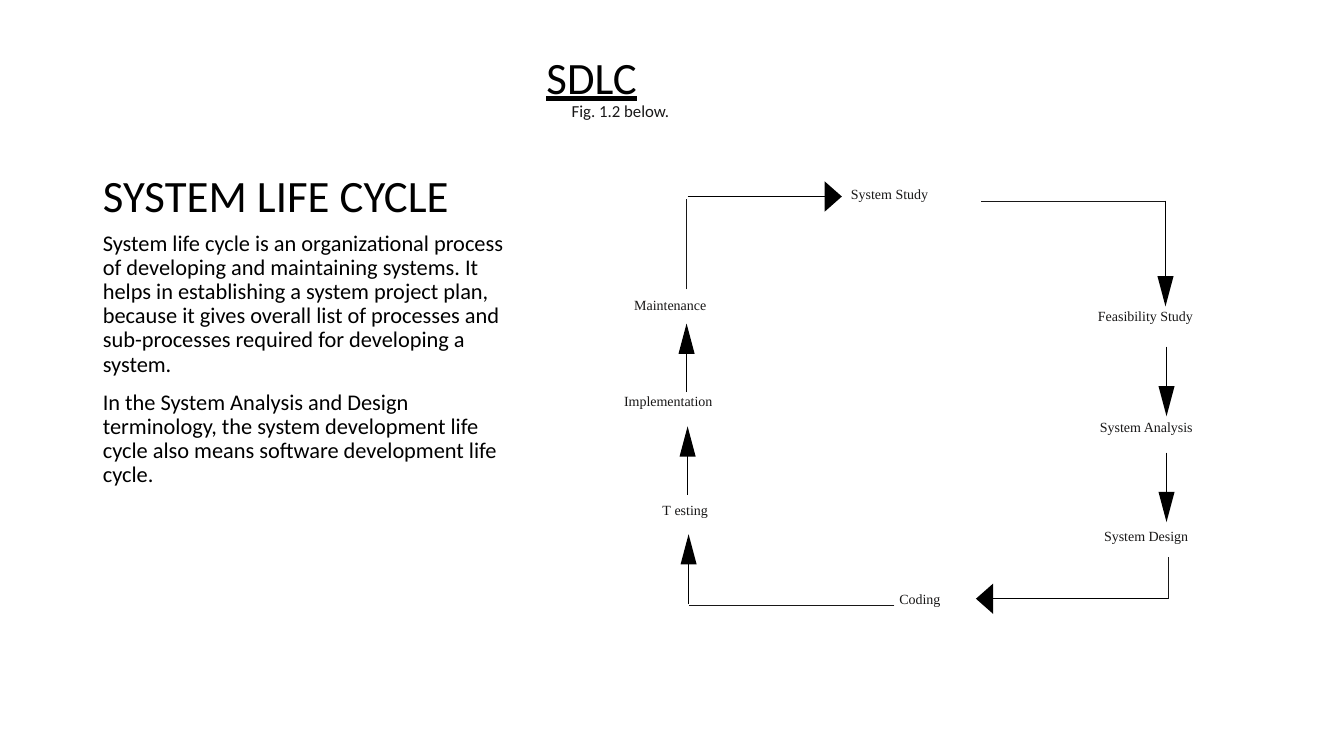
import dataclasses
import typing

import lxml.etree
import pptx
import pptx.dml.color
import pptx.enum.shapes
import pptx.enum.text
import pptx.oxml.ns
import pptx.util

Inches = pptx.util.Inches
Pt = pptx.util.Pt
qn = pptx.oxml.ns.qn


# Theme
@dataclasses.dataclass(frozen=True)
class Theme:
    black: str = "000000"
    ink: str = "181717"
    paper: str = "FFFFFF"
    sans: str = "Calibri"
    serif: str = "Times New Roman"
    head: int = 32
    body: int = 16
    note: int = 12
    small: int = 10
    thin: float = 0.71
    thick: float = 0.96


THEME = Theme()


# Parts of the cycle, in inches
class Label(typing.NamedTuple):
    text: str
    left: float
    top: float
    width: float


class Line(typing.NamedTuple):
    x1: float
    y1: float
    x2: float
    y2: float
    bold: bool = False


class Tip(typing.NamedTuple):
    x: float
    y: float
    dx: int
    dy: int


LABELS = [
    Label("System Study", 8.44, 1.82, 1.56),
    Label("Feasibility Study", 10.89, 3.03, 1.9),
    Label("System Analysis", 10.91, 4.13, 1.9),
    Label("System Design", 10.95, 5.21, 1.69),
    Label("Coding", 8.92, 5.83, 0.83),
    Label("T", 6.57, 4.95, 0.17),
    Label("esting", 6.69, 4.95, 0.69),
    Label("Implementation", 6.19, 3.87, 1.73),
    Label("Maintenance", 6.29, 2.92, 1.48),
]
LINES = [
    Line(6.82, 1.95, 8.18, 1.95),
    Line(9.73, 2, 11.56, 2, True),
    Line(11.56, 1.99, 11.56, 2.74),
    Line(11.57, 3.44, 11.57, 3.84),
    Line(11.57, 4.49, 11.57, 4.89),
    Line(11.59, 5.53, 11.59, 5.94, True),
    Line(11.58, 5.94, 9.83, 5.94),
    Line(8.87, 6.01, 6.83, 6.01, True),
    Line(6.83, 5.99, 6.83, 5.58),
    Line(6.82, 4.91, 6.82, 4.51),
    Line(6.81, 3.89, 6.81, 3.5),
    Line(6.81, 2.87, 6.81, 1.97, True),
]
TIPS = [
    Tip(8.35, 1.95, 1, 0),
    Tip(11.56, 3.04, 0, 1),
    Tip(11.57, 4.13, 0, 1),
    Tip(11.57, 5.18, 0, 1),
    Tip(9.68, 5.94, -1, 0),
    Tip(6.83, 5.3, 0, -1),
    Tip(6.82, 4.23, 0, -1),
    Tip(6.81, 3.21, 0, -1),
]


def tint(code: str) -> pptx.dml.color.RGBColor:
    return pptx.dml.color.RGBColor.from_string(code)


def write(frame, *texts: str, size: float, font: str = THEME.sans,
          color: str = THEME.black, line: float = 0.9, before: float = 0,
          under: bool = False, anchor: str = "TOP") -> None:
    frame.word_wrap = True
    frame.auto_size = pptx.enum.text.MSO_AUTO_SIZE.NONE
    frame.vertical_anchor = pptx.enum.text.MSO_ANCHOR[anchor]
    for i, text in enumerate(texts):
        para = frame.paragraphs[0] if i == 0 else frame.add_paragraph()
        para.alignment = pptx.enum.text.PP_ALIGN.LEFT
        para.line_spacing = line
        para.space_before = Pt(before)
        para.space_after = Pt(0)
        # No bullet and no hanging indent
        props = para._p.get_or_add_pPr()
        props.set("marL", "0")
        props.set("indent", "0")
        lxml.etree.SubElement(props, qn("a:buNone"))
        run = para.add_run()
        run.text = text
        run.font.size = Pt(size)
        run.font.name = font
        run.font.bold = False
        run.font.underline = under
        run.font.color.rgb = tint(color)


def place(shape, left: float, top: float, width: float, height: float) -> None:
    shape.left, shape.top = Inches(left), Inches(top)
    shape.width, shape.height = Inches(width), Inches(height)


def add_note(slide, label: Label, height: float, size: float, font: str) -> None:
    box = slide.shapes.add_textbox(Inches(label.left), Inches(label.top),
                                   Inches(label.width), Inches(height))
    frame = box.text_frame
    frame.margin_left = frame.margin_right = 0
    frame.margin_top = frame.margin_bottom = 0
    write(frame, label.text, size=size, font=font, color=THEME.ink, line=1.15)


def add_line(slide, line: Line) -> None:
    link = slide.shapes.add_connector(
        pptx.enum.shapes.MSO_CONNECTOR.STRAIGHT,
        Inches(line.x1), Inches(line.y1), Inches(line.x2), Inches(line.y2))
    link.line.color.rgb = tint(THEME.ink if line.bold else THEME.black)
    link.line.width = Pt(THEME.thick if line.bold else THEME.thin)
    lxml.etree.SubElement(link._element.spPr, qn("a:effectLst"))


def add_tip(slide, tip: Tip) -> None:
    long, half = (0.17, 0.15) if tip.dx else (0.3, 0.08)
    base_x, base_y = tip.x - tip.dx * long, tip.y - tip.dy * long
    ends = [(base_x + side * tip.dy * half, base_y + side * tip.dx * half)
            for side in (-1, 1)]
    form = slide.shapes.build_freeform(Inches(tip.x), Inches(tip.y))
    form.add_line_segments([(Inches(x), Inches(y)) for x, y in ends])
    shape = form.convert_to_shape()
    shape.shadow.inherit = False
    shape.fill.solid()
    shape.fill.fore_color.rgb = tint(THEME.black)
    shape.line.fill.background()


def main() -> None:
    deck = pptx.Presentation()
    deck.slide_width, deck.slide_height = Inches(13.33), Inches(7.5)
    slide = deck.slides.add_slide(deck.slide_layouts.get_by_name("Content with Caption"))
    slide.background.fill.solid()
    slide.background.fill.fore_color.rgb = tint(THEME.paper)

    # Title and texts
    title, topic, text = slide.placeholders
    place(title, 0.92, 0.5, 4.3, 1.75)
    write(title.text_frame, "SYSTEM LIFE CYCLE", size=THEME.head, anchor="BOTTOM")
    place(topic, 5.32, 0.5, 7.86, 6.61)
    write(topic.text_frame, "SDLC", size=THEME.head, before=10, under=True)
    place(text, 0.92, 2.25, 4.3, 4.17)
    write(text.text_frame,
          "System life cycle is an organizational process of developing and "
          "maintaining systems. It helps in establishing a system project plan, "
          "because it gives overall list of processes and sub-processes required "
          "for developing a system.",
          "In the System Analysis and Design terminology, the system development "
          "life cycle also means software development life cycle.",
          size=THEME.body, before=10)

    # Cycle diagram
    add_note(slide, Label("Fig. 1.2 below.", 5.67, 0.97, 2.41), 0.58,
             THEME.note, THEME.sans)
    for line in LINES:
        add_line(slide, line)
    for tip in TIPS:
        add_tip(slide, tip)
    for label in LABELS:
        add_note(slide, label, 0.46, THEME.small, THEME.serif)

    deck.save("out.pptx")


if __name__ == "__main__":
    main()
